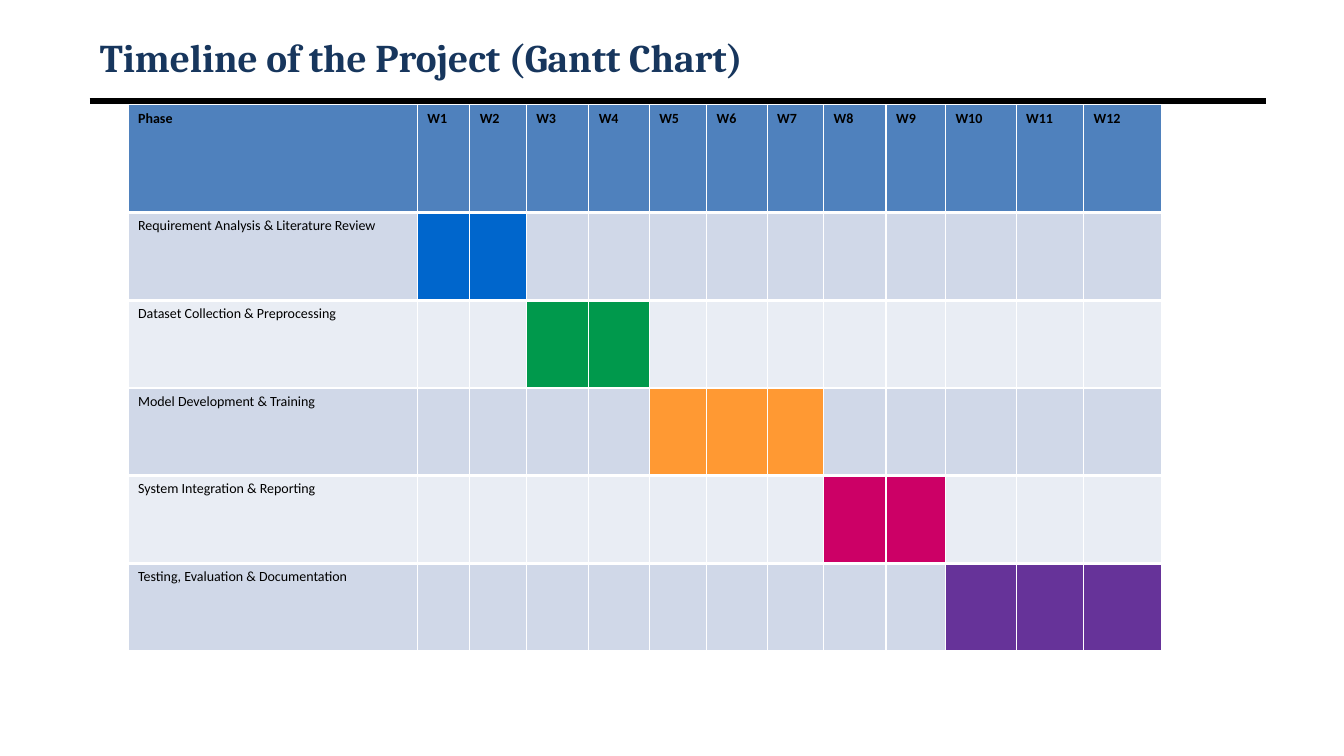
from dataclasses import dataclass

import lxml.etree
import pptx
import pptx.dml.color
import pptx.enum.shapes
import pptx.enum.text
import pptx.oxml.ns
import pptx.table
import pptx.util

SLIDE_W = pptx.util.Inches(13.33)
SLIDE_H = pptx.util.Inches(7.5)
COLORS = {
    "title": "17365D", "text": "000000", "rule": "000000", "border": "FFFFFF",
    "header": "4F81BD", "odd": "D0D8E8", "even": "E9EDF4",
    "blue": "0066CC", "green": "00994C", "orange": "FF9933",
    "pink": "CC0066", "purple": "663399",
}
COLUMN_SHARES = [2.87, 0.52, 0.56, 0.62, 0.6, 0.57, 0.6, 0.56, 0.62, 0.59, 0.7, 0.67, 0.77]
ROW_SHARES = [1.07] + [0.87] * 5


@dataclass
class Phase:
    name: str
    first_week: int
    last_week: int
    color: str


PHASES = [
    Phase("Requirement Analysis & Literature Review", 1, 2, "blue"),
    Phase("Dataset Collection & Preprocessing", 3, 4, "green"),
    Phase("Model Development & Training", 5, 7, "orange"),
    Phase("System Integration & Reporting", 8, 9, "pink"),
    Phase("Testing, Evaluation & Documentation", 10, 12, "purple"),
]


def x(inches: float) -> int:
    return round(SLIDE_W * inches / 13.33)


def y(inches: float) -> int:
    return round(SLIDE_H * inches / 7.5)


def rgb(name: str) -> pptx.dml.color.RGBColor:
    return pptx.dml.color.RGBColor.from_string(COLORS[name])


def set_font(p, name: str, size: float, color: str, bold: bool) -> None:
    p.font.name = name
    p.font.size = pptx.util.Pt(size)
    p.font.bold = bold
    p.font.color.rgb = rgb(color)


def add_title(s, text: str) -> None:
    sp = s.shapes.title
    sp.left, sp.top, sp.width, sp.height = x(0.89), y(0.3), x(11.67), y(0.53)
    tf = sp.text_frame
    tf.text = text
    tf.word_wrap = True
    tf.auto_size = pptx.enum.text.MSO_AUTO_SIZE.NONE
    tf.vertical_anchor = pptx.enum.text.MSO_ANCHOR.MIDDLE
    p = tf.paragraphs[0]
    p.alignment = pptx.enum.text.PP_ALIGN.LEFT
    set_font(p, "Cambria", 28, "title", True)


def add_rule(s) -> None:
    line = s.shapes.add_connector(
        pptx.enum.shapes.MSO_CONNECTOR.STRAIGHT, x(0.89), y(1), x(12.56), y(1))
    line.line.color.rgb = rgb("rule")
    line.line.width = pptx.util.Pt(4.5)
    lxml.etree.SubElement(line._element.spPr, pptx.oxml.ns.qn("a:effectLst"))


def style_cell(cell: pptx.table._Cell, fill: str, top: float) -> None:
    tcPr = cell._tc.get_or_add_tcPr()
    for side, width in (("L", 1), ("R", 1), ("T", top), ("B", 2.25)):
        ln = lxml.etree.SubElement(
            tcPr, pptx.oxml.ns.qn(f"a:ln{side}"), w=str(pptx.util.Pt(width)))
        solid = lxml.etree.SubElement(ln, pptx.oxml.ns.qn("a:solidFill"))
        lxml.etree.SubElement(solid, pptx.oxml.ns.qn("a:srgbClr"), val=COLORS["border"])
    cell.fill.solid()
    cell.fill.fore_color.rgb = rgb(fill)


def write_cell(cell: pptx.table._Cell, text: str, bold: bool) -> None:
    cell.text = text
    p = cell.text_frame.paragraphs[0]
    p.space_before = pptx.util.Pt(2)
    set_font(p, "Calibri", 10, "text", bold)


def add_gantt(s, phases: list[Phase]) -> None:
    table = s.shapes.add_table(
        len(ROW_SHARES), len(COLUMN_SHARES), x(1.27), y(1.04), x(10.25), y(5.42)).table
    for column, share in zip(table.columns, COLUMN_SHARES):
        column.width = x(share)
    for row, share in zip(table.rows, ROW_SHARES):
        row.height = y(share)
    for week in range(len(COLUMN_SHARES)):
        cell = table.cell(0, week)
        style_cell(cell, "header", 1)
        write_cell(cell, f"W{week}" if week else "Phase", True)
    for i, phase in enumerate(phases, 1):
        band = "odd" if i % 2 else "even"
        for week in range(len(COLUMN_SHARES)):
            active = phase.first_week <= week <= phase.last_week
            style_cell(table.cell(i, week), phase.color if active else band, 2.25)
        write_cell(table.cell(i, 0), phase.name, False)


def main() -> None:
    prs = pptx.Presentation()
    prs.slide_width, prs.slide_height = SLIDE_W, SLIDE_H
    s = prs.slides.add_slide(prs.slide_layouts[5])
    add_rule(s)
    add_title(s, "Timeline of the Project (Gantt Chart)")
    add_gantt(s, PHASES)
    prs.save("out.pptx")


if __name__ == "__main__":
    main()
